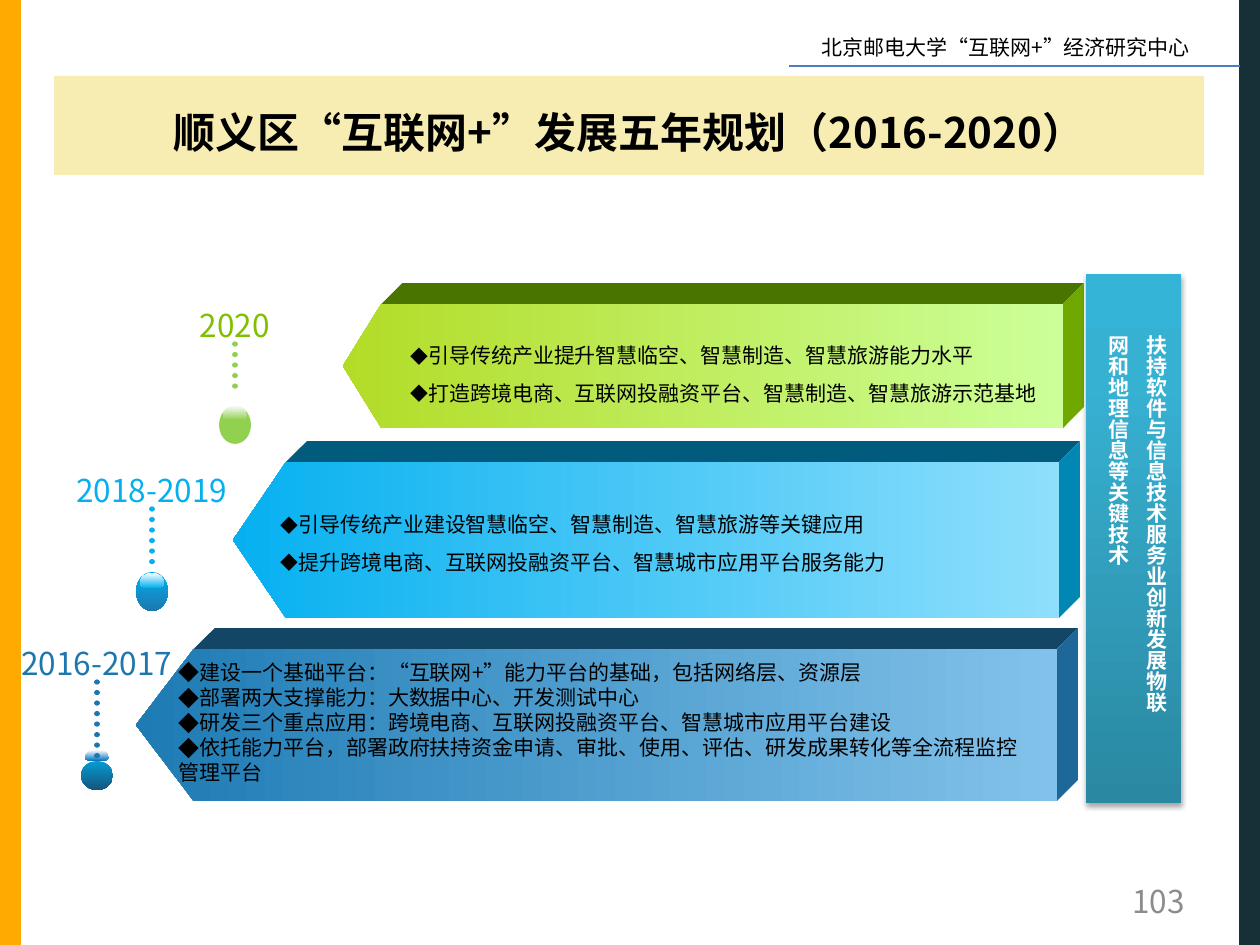
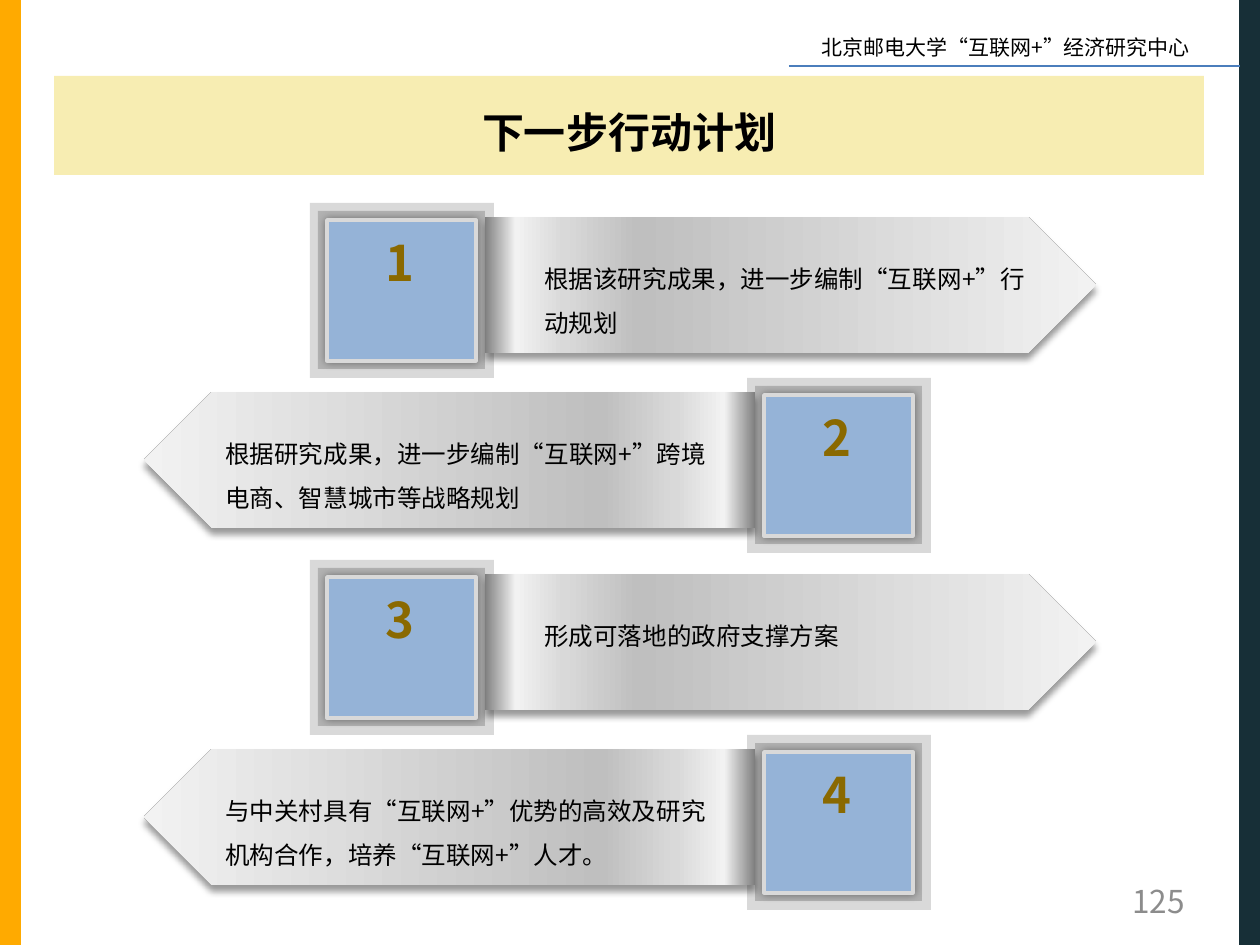
from dataclasses import dataclass
from math import cos, pi, sin

from lxml.etree import SubElement
from pptx import Presentation
from pptx.dml.color import RGBColor
from pptx.enum.dml import MSO_LINE
from pptx.enum.shapes import MSO_CONNECTOR, MSO_SHAPE
from pptx.enum.text import MSO_ANCHOR as Anchor, PP_ALIGN as Align
from pptx.oxml.ns import qn
from pptx.util import Emu, Pt

PX = 914400 / 126
BLANK_LAYOUT = 6


@dataclass(frozen=True)
class Theme:
    font: str = "Noto Sans CJK SC"
    ink: str = "000000"
    white: str = "FFFFFF"
    left_band: str = "FFAA00"
    right_band: str = "172F37"
    title_band: str = "E9CD23"
    header_rule: str = "4B7EBC"
    page_number: str = "8C8C8C"
    frame: str = "D9D9D9"
    inner_frame: str = "B2B2B2"
    tile: str = "95B3D7"
    number: str = "8A6900"
    silver: tuple = ((0, "808080"), (5, "F2F2F2"), (13, "D9D9D9"), (25, "BFBFBF"), (100, "F2F2F2"))
    pillar: tuple = ((0, "2A88A2"), (80, "37B1D2"), (100, "34B4D6"))
    small: int = 12
    body: int = 14
    label: int = 18
    title: int = 24
    digit: int = 28


THEME = Theme()


def px(length):
    return Emu(round(length * PX))


def set_values(target, values):
    for name, value in values.items():
        setattr(target, name, value)


def add_child(parent, tag, **attributes):
    return SubElement(parent, qn(tag), {name: str(value) for name, value in attributes.items()})


def add_color(parent, color, alpha=None):
    node = add_child(parent, "a:srgbClr", val=color)
    if alpha is not None:
        add_child(node, "a:alpha", val=alpha * 1000)


def paint(shape, fill, angle=0, alpha=None, line=None, shadow=None):
    """Fill is one colour or (percent, colour) stops; shadow is (alpha, blur, distance, direction)."""
    shape.shadow.inherit = False
    properties = shape.element.spPr
    if isinstance(fill, str):
        shape.fill.solid()
        shape.fill.fore_color.rgb = RGBColor.from_string(fill)
        if alpha is not None:
            color = properties.find(qn("a:solidFill")).find(qn("a:srgbClr"))
            add_child(color, "a:alpha", val=alpha * 1000)
    else:
        shape.fill.gradient()
        gradient = properties.find(qn("a:gradFill"))
        for child in list(gradient):
            gradient.remove(child)
        stops = add_child(gradient, "a:gsLst")
        for position, color in fill:
            add_color(add_child(stops, "a:gs", pos=position * 1000), color)
        add_child(gradient, "a:lin", ang=angle * 60000, scaled=0)
    if line:
        color, width = line
        shape.line.color.rgb = RGBColor.from_string(color)
        shape.line.width = Pt(width)
    else:
        shape.line.fill.background()
    if shadow:
        opacity, blur, distance, direction = shadow
        effect = add_child(properties.find(qn("a:effectLst")), "a:outerShdw", blurRad=Pt(blur),
                           dist=Pt(distance), dir=direction * 60000, algn="ctr", rotWithShape=0)
        add_color(effect, THEME.ink, opacity)


def add_block(slide, kind, box, fill, flip=False, adjust=None, **look):
    shape = slide.shapes.add_shape(kind, *map(px, box))
    if adjust is not None:
        shape.adjustments[0] = adjust
    if flip:
        shape.element.spPr.find(qn("a:xfrm")).set("flipH", "1")
    paint(shape, fill, **look)
    return shape


def add_outline(slide, points, fill, **look):
    corners = [(px(x), px(y)) for x, y in points]
    builder = slide.shapes.build_freeform(*corners[0], scale=1.0)
    builder.add_line_segments(corners[1:], close=True)
    paint(builder.convert_to_shape(), fill, **look)


def write(shape, lines, size, color=THEME.ink, bold=False, align=Align.LEFT, spacing=None,
          anchor=Anchor.TOP, wrap=True, bullet=None):
    """Bullet is the size of the diamond in percent of the text."""
    frame = shape.text_frame
    set_values(frame, {"word_wrap": wrap, "vertical_anchor": anchor})
    for index, line in enumerate(lines):
        paragraph = frame.paragraphs[0] if index == 0 else frame.add_paragraph()
        if bullet:
            properties = paragraph._p.get_or_add_pPr()
            properties.set("marL", "0")
            properties.set("indent", "0")
            add_child(properties, "a:buSzPct", val=bullet * 1000)
            add_child(properties, "a:buFont", typeface=THEME.font)
            add_child(properties, "a:buChar", char="◆")
        set_values(paragraph, {"alignment": align, "line_spacing": spacing})
        run = paragraph.add_run()
        run.text = line
        set_values(run.font, {"name": THEME.font, "size": Pt(size), "bold": bold})
        run.font.color.rgb = RGBColor.from_string(color)
        add_child(run._r.rPr, "a:ea", typeface=THEME.font)


def add_text(slide, box, lines, size, **look):
    shape = slide.shapes.add_textbox(*map(px, box))
    write(shape, lines, size, **look)
    return shape


def add_line(slide, start, end, color, width, dotted=False):
    line = slide.shapes.add_connector(MSO_CONNECTOR.STRAIGHT, *map(px, (*start, *end)))
    line.line.color.rgb = RGBColor.from_string(color)
    line.line.width = Pt(width)
    properties = line.element.spPr
    if dotted:
        line.line.dash_style = MSO_LINE.ROUND_DOT
        properties.find(qn("a:ln")).set("cap", "rnd")
    add_child(properties, "a:effectLst")
    return line


def add_page(presentation, title, number):
    """Adds a slide with the bands, header, title and page number that all slides share."""
    slide = presentation.slides.add_slide(presentation.slide_layouts[BLANK_LAYOUT])
    for left, color in ((0, THEME.left_band), (1239, THEME.right_band)):
        add_block(slide, MSO_SHAPE.RECTANGLE, (left, 0, 21, 945), color)
    add_text(slide, (809, 28, 407, 38), ["北京邮电大学“互联网+”经济研究中心"], THEME.small)
    add_line(slide, (789, 66), (1240, 66), THEME.header_rule, 0.75)
    add_text(slide, (903, 876, 294, 50), [number], THEME.label, color=THEME.page_number,
             align=Align.RIGHT, anchor=Anchor.MIDDLE)
    band = add_block(slide, MSO_SHAPE.RECTANGLE, (54, 76, 1150, 99), THEME.title_band, alpha=35)
    write(band, [title], THEME.title, bold=True, align=Align.CENTER, spacing=1.25,
          anchor=Anchor.MIDDLE)
    return slide


@dataclass(frozen=True)
class Stage:
    years: str
    color: str
    label_box: tuple
    dots: str
    dots_length: int
    ball_top: int
    ball_height: int
    ball_fill: object
    gloss_top: int
    gloss_height: int
    gloss_fill: tuple
    arrow_box: tuple
    tip: float
    arrow_fill: tuple
    top_face: str
    side_face: str
    text_box: tuple
    lines: tuple
    spacing: float = 1.5
    bullet: int = 85


STAGES = (
    Stage("2016-2017", "1D77AF", (3, 619, 188, 63), "1D77AF", 80,
          761, 29, ((0, "059CD1"), (100, "15557D")), 750, 11, ("FFFFFF", "0070C0"),
          (136, 649, 921, 152), 0.38, ("1E7BB4", "82C2EA"), "134565", "1E6899",
          (166, 653, 881, 140),
          ("建设一个基础平台：“互联网+”能力平台的基础，包括网络层、资源层",
           "部署两大支撑能力：大数据中心、开发测试中心",
           "研发三个重点应用：跨境电商、互联网投融资平台、智慧城市应用平台建设",
           "依托能力平台，部署政府扶持资金申请、审批、使用、评估、研发成果转化等全流程监控管理平台"),
          1.0, 100),
    Stage("2018-2019", "06B0F0", (58, 446, 188, 63), "06B0F0", 63,
          572, 39, ((0, "00B0F0"), (100, "1D77AF")), 573, 15, ("FFFFFF", "00B0F0"),
          (233, 462, 826, 156), 0.34, ("06B0F0", "8EDFFC"), "005B7C", "0087B4",
          (268, 493, 868, 89),
          ("引导传统产业建设智慧临空、智慧制造、智慧旅游等关键应用",
           "提升跨境电商、互联网投融资平台、智慧城市应用平台服务能力")),
    Stage("2020", "80C000", (185, 281, 100, 63), "92D050", 52,
          406, 38, "92D050", 406, 14, ("F9FCFF", "92D050"),
          (343, 304, 720, 124), 0.31, ("B3DC27", "CCFF99"), "4A7400", "6EA800",
          (398, 324, 716, 89),
          ("引导传统产业提升智慧临空、智慧制造、智慧旅游能力水平",
           "打造跨境电商、互联网投融资平台、智慧制造、智慧旅游示范基地")),
)


def add_gloss(slide, box, fill):
    """A highlight with a round top and a flatter, shallow bottom."""
    left, top, width, height = box
    waist, points = top + height * 0.7, []
    for step in range(48):
        x, y = cos(step * pi / 24), sin(step * pi / 24)
        if y > 0:
            x = abs(x) ** 0.7 * (1 if x > 0 else -1)
        points.append((left + width * (1 + x) / 2, waist + height * y * (0.3 if y > 0 else 0.7)))
    add_outline(slide, points, tuple(zip((0, 100), fill)), angle=90)


def add_marker(slide, stage):
    left, top, width, height = stage.label_box
    center, bottom = left + width / 2, top + height
    label = add_text(slide, stage.label_box, [stage.years], THEME.label, color=stage.color,
                     align=Align.CENTER, spacing=1.5, wrap=False)
    add_block(slide, MSO_SHAPE.OVAL, (center - 16, stage.ball_top, 32, stage.ball_height),
              stage.ball_fill, angle=90)
    add_gloss(slide, (center - 12, stage.gloss_top, 24, stage.gloss_height), stage.gloss_fill)
    dots = add_line(slide, (center, bottom), (center, bottom + stage.dots_length),
                    stage.dots, 3, dotted=True)
    dots.begin_connect(label, 2)


def add_solid_arrow(slide, stage, depth=21):
    """A left arrow with a top and a side face going back to the upper right."""
    left, top, width, height = stage.arrow_box
    right, bottom, shoulder = left + width, top + height, left + height * stage.tip
    back, raised = right + depth, top - depth
    add_outline(slide, ((shoulder, top), (shoulder + depth, raised), (back, raised),
                        (right, top)), stage.top_face)
    add_outline(slide, ((right, top), (back, raised), (back, bottom - depth),
                        (right, bottom)), stage.side_face)
    add_block(slide, MSO_SHAPE.PENTAGON, stage.arrow_box,
              tuple(zip((0, 100), reversed(stage.arrow_fill))), flip=True, adjust=stage.tip)


def add_pillar(slide, box):
    left, top, width, height = box
    add_block(slide, MSO_SHAPE.RECTANGLE, box, THEME.pillar, angle=270, shadow=(35, 3.1, 1.8, 90))
    text = add_text(slide, (left, top + 49, width + 7, height - 106),
                    ["扶持软件与信息技术服务业创新发展物联网和地理信息等关键技术"],
                    THEME.small, color=THEME.white, bold=True, spacing=1.5)
    text.text_frame._txBody.bodyPr.set("vert", "eaVert")


def add_plan_slide(presentation):
    slide = add_page(presentation, "顺义区“互联网+”发展五年规划（2016-2020）", "103")
    for stage in STAGES:
        add_marker(slide, stage)
        add_solid_arrow(slide, stage)
    for stage in reversed(STAGES):
        add_text(slide, stage.text_box, stage.lines, THEME.small, spacing=stage.spacing,
                 bullet=stage.bullet)
    add_pillar(slide, (1086, 274, 95, 529))


ACTIONS = (
    "根据该研究成果，进一步编制“互联网+”行动规划",
    "根据研究成果，进一步编制“互联网+”跨境电商、智慧城市等战略规划",
    "形成可落地的政府支撑方案",
    "与中关村具有“互联网+”优势的高效及研究机构合作，培养“互联网+”人才。",
)


def add_action(slide, left, top, number, text, flip):
    """A numbered tile at left, top with its arrow on the right, or on the left if flipped."""
    rectangle = MSO_SHAPE.RECTANGLE
    arrow_left, text_left = (left - 603, left - 534) if flip else (left + 175, left + 222)
    add_block(slide, rectangle, (left, top, 184, 175), THEME.frame, flip)
    add_block(slide, rectangle, (left + 8, top + 8, 167, 158), THEME.inner_frame, flip)
    add_block(slide, MSO_SHAPE.PENTAGON, (arrow_left, top + 14, 611, 136), THEME.silver, flip,
              shadow=(40, 4, 3, 90))
    add_block(slide, rectangle, (left + 17, top + 17, 149, 141), THEME.tile, flip,
              line=(THEME.frame, 2), shadow=(40, 5, 0, 0))
    add_text(slide, (left + 22, top + 35, 136, 60), [str(number)], THEME.digit,
             color=THEME.number, bold=True, align=Align.CENTER, spacing=0.8)
    add_text(slide, (text_left, top + 40, 509, 97), [text], THEME.body, spacing=1.5)


def add_action_slide(presentation):
    slide = add_page(presentation, "下一步行动计划", "125")
    for index, text in enumerate(ACTIONS):
        pair, flip = divmod(index, 2)
        add_action(slide, 747 if flip else 310, 203 + 357 * pair + 175 * flip,
                   index + 1, text, bool(flip))


def main():
    presentation = Presentation()
    set_values(presentation, {"slide_width": px(1260), "slide_height": px(945)})
    add_plan_slide(presentation)
    add_action_slide(presentation)
    presentation.save("out.pptx")


if __name__ == "__main__":
    main()
